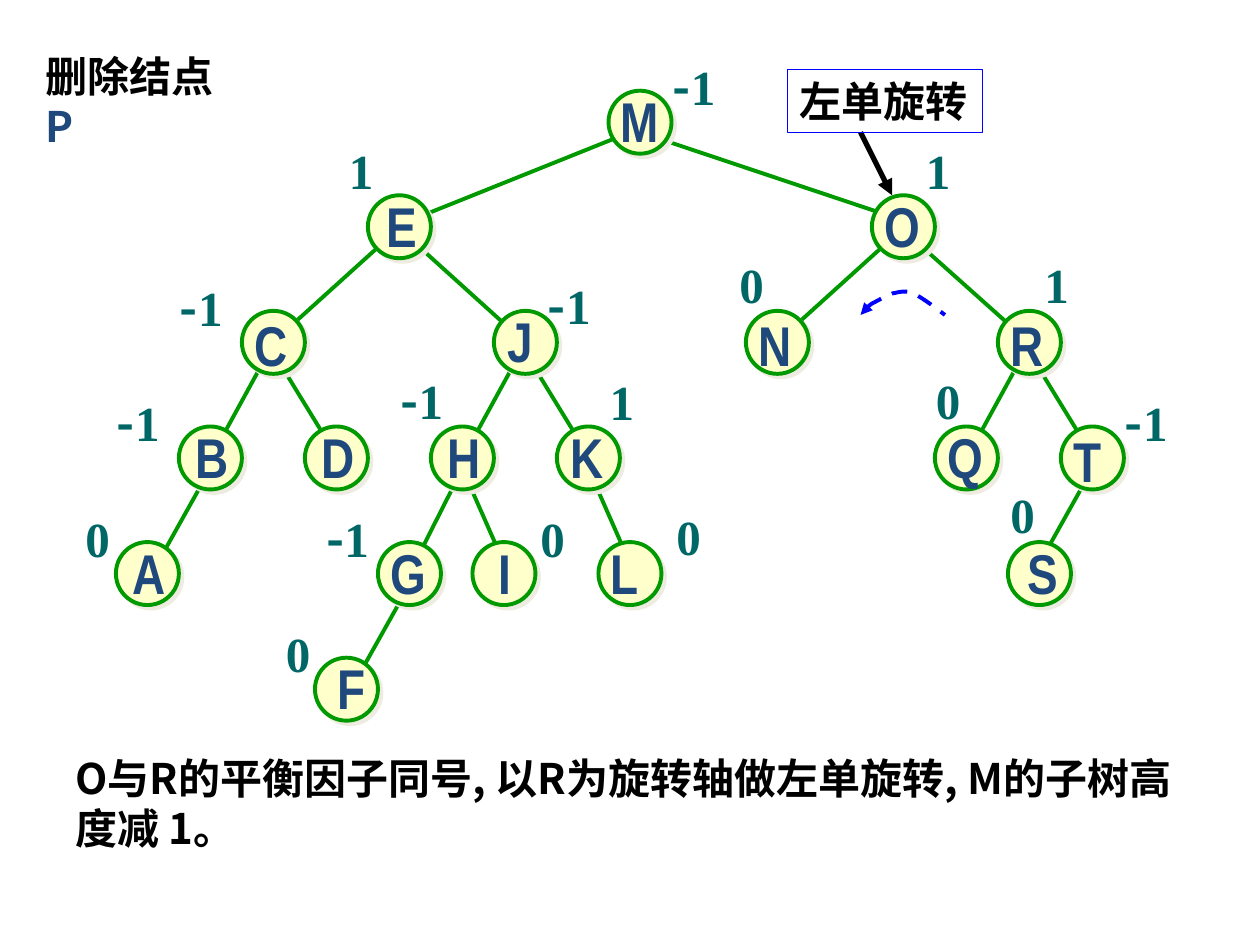
"""Build a slide showing a left single rotation after deleting a node from an AVL tree."""
import pptx
import pptx.dml.color
import pptx.enum.dml
import pptx.enum.shapes
import pptx.enum.text
import pptx.oxml
import pptx.oxml.ns
import pptx.util

GREEN = pptx.dml.color.RGBColor(0x00, 0x99, 0x00)
CREAM = pptx.dml.color.RGBColor(0xFF, 0xFF, 0xCC)
NAVY = pptx.dml.color.RGBColor(0x1F, 0x49, 0x7D)
TEAL = pptx.dml.color.RGBColor(0x00, 0x66, 0x66)
BLUE = pptx.dml.color.RGBColor(0x00, 0x00, 0xFF)
BLACK = pptx.dml.color.RGBColor(0x00, 0x00, 0x00)
HAN, NARROW, SERIF = "Noto Sans CJK SC", "Arial Narrow", "Times New Roman"
GRID_CM = 2.54
NODE_SIZE = 0.5

TITLE = [("删除结点", BLACK), ("P", NAVY)]
CALLOUT = "左单旋转"
EXPLANATION = "O与R的平衡因子同号, 以R为旋转轴做左单旋转, M的子树高度减 1。"

# letter, row, node left, label left, label width, label rise, factor, factor left, factor top
NODES = [
    ("M", 0, 4.83, 4.83, 0.51, 0.08, "-1", 5.24, 0.4),
    ("E", 1, 2.92, 2.97, 0.44, 0.08, "1", 2.67, 1.07),
    ("O", 1, 6.92, 6.92, 0.48, 0.08, "1", 7.25, 1.07),
    ("C", 2, 1.92, 1.92, 0.47, 0.05, "-1", 1.33, 2.15),
    ("J", 2, 3.92, 3.93, 0.4, 0.08, "-1", 4.25, 2.14),
    ("N", 2, 5.92, 5.92, 0.47, 0.05, "0", 5.77, 1.97),
    ("R", 2, 7.92, 7.92, 0.47, 0.05, "1", 8.19, 1.97),
    ("B", 3, 1.42, 1.45, 0.47, 0.08, "-1", 0.83, 3.07),
    ("D", 3, 2.42, 2.45, 0.47, 0.08, "", 0, 0),
    ("H", 3, 3.42, 3.45, 0.47, 0.08, "-1", 3.08, 2.89),
    ("K", 3, 4.42, 4.43, 0.47, 0.08, "1", 4.74, 2.9),
    ("Q", 3, 7.42, 7.42, 0.48, 0.08, "0", 7.33, 2.89),
    ("T", 3, 8.42, 8.42, 0.42, 0.05, "-1", 8.83, 3.07),
    ("A", 4, 0.92, 0.95, 0.47, 0.08, "0", 0.58, 3.99),
    ("G", 4, 3, 3, 0.48, 0.08, "-1", 2.49, 3.99),
    ("I", 4, 3.75, 3.86, 0.3, 0.08, "0", 4.19, 3.99),
    ("L", 4, 4.75, 4.75, 0.42, 0.08, "0", 5.27, 3.97),
    ("S", 4, 8, 8.06, 0.44, 0.08, "0", 7.92, 3.8),
    ("F", 5, 2.5, 2.58, 0.42, 0.08, "0", 2.17, 4.9),
]
EDGES = [
    (5, 1.05, 3.33, 1.72), (5.08, 1.05, 7.08, 1.72),
    (3.08, 1.89, 2.25, 2.64), (3.25, 1.89, 4.08, 2.64),
    (7.08, 1.89, 6.25, 2.64), (7.33, 1.97, 8.17, 2.72),
    (2.08, 2.89, 1.67, 3.64), (2.17, 2.8, 2.58, 3.47),
    (4.08, 2.89, 3.67, 3.64), (4.17, 2.8, 4.58, 3.47),
    (8.08, 2.89, 7.67, 3.64), (8.17, 2.8, 8.58, 3.47),
    (1.67, 3.72, 1.25, 4.47), (3.67, 3.72, 3.25, 4.55),
    (3.67, 3.72, 4, 4.47), (4.67, 3.72, 5, 4.47),
    (8.67, 3.72, 8.25, 4.47), (3.25, 4.64, 2.83, 5.39),
]
ROTATION_START = (6.83, 2.5)
ROTATION_CURVES = [
    ((6.85, 2.47), (6.88, 2.44), (6.92, 2.41)),
    ((6.96, 2.39), (7.03, 2.35), (7.08, 2.33)),
    ((7.14, 2.32), (7.18, 2.3), (7.25, 2.33)),
    ((7.32, 2.36), (7.46, 2.47), (7.5, 2.5)),
]


def cells(*values):
    return [pptx.util.Cm(value * GRID_CM) for value in values]


def add_effects(shape, content=""):
    namespace = pptx.oxml.ns.nsdecls("a")
    shape._element.spPr.append(
        pptx.oxml.parse_xml(f"<a:effectLst {namespace}>{content}</a:effectLst>"))


def add_arrowhead(shape, end):
    namespace = pptx.oxml.ns.nsdecls("a")
    shape.line._get_or_add_ln().append(
        pptx.oxml.parse_xml(f'<a:{end} {namespace} type="triangle"/>'))


def write(box, spans, size, wrap=False):
    frame = box.text_frame
    frame.word_wrap = wrap
    frame.auto_size = pptx.enum.text.MSO_AUTO_SIZE.SHAPE_TO_FIT_TEXT
    frame.vertical_anchor = pptx.enum.text.MSO_ANCHOR.TOP
    para = frame.paragraphs[0]
    para.alignment = pptx.enum.text.PP_ALIGN.LEFT
    for text, face, color in spans:
        span = para.add_run()
        span.text = text
        span.font.name, span.font.size, span.font.bold = face, pptx.util.Pt(size), True
        span.font.color.rgb = color
        east = span._r.get_or_add_rPr().makeelement(pptx.oxml.ns.qn("a:ea"), {"typeface": face})
        span._r.rPr.find(pptx.oxml.ns.qn("a:latin")).addnext(east)


def add_line(page, ends, color, width):
    line = page.shapes.add_connector(pptx.enum.shapes.MSO_CONNECTOR.STRAIGHT, *cells(*ends))
    line.line.color.rgb, line.line.width = color, pptx.util.Pt(width)
    add_effects(line)
    return line


def node_top(row):
    return 0.72 if row == 0 else 1.55 + 0.9175 * (row - 1)


def add_nodes(page):
    for _, row, left, *_ in NODES:
        node = page.shapes.add_shape(
            pptx.enum.shapes.MSO_SHAPE.OVAL, *cells(left, node_top(row), NODE_SIZE, NODE_SIZE))
        node.fill.solid()
        node.fill.fore_color.rgb = CREAM
        node.line.color.rgb, node.line.width = GREEN, pptx.util.Pt(2.25)
        add_effects(node, '<a:outerShdw dist="35560" dir="2700000" algn="ctr" rotWithShape="0">'
                          '<a:srgbClr val="EEECE1"/></a:outerShdw>')
    for letter, row, _, left, width, rise, factor, factor_left, factor_top in NODES:
        label = page.shapes.add_textbox(*cells(left, node_top(row) - rise, width, 0.63))
        write(label, [(letter, NARROW, NAVY)], 32)
        if factor:
            width = 0.59 if len(factor) > 1 else 0.4
            box = page.shapes.add_textbox(*cells(factor_left, factor_top, width, 0.57))
            write(box, [(sign, HAN if sign == "-" else SERIF, TEAL) for sign in factor], 28)


def curve_points(steps=8):
    start = ROTATION_START
    for first, second, end in ROTATION_CURVES:
        for step in range(1, steps + 1):
            t = step / steps
            yield cells(*((1 - t) ** 3 * a + 3 * (1 - t) ** 2 * t * b
                          + 3 * (1 - t) * t ** 2 * c + t ** 3 * d
                          for a, b, c, d in zip(start, first, second, end)))
        start = end


def add_rotation(page):
    builder = page.shapes.build_freeform(*cells(*ROTATION_START))
    builder.add_line_segments(curve_points(), close=False)
    arc = builder.convert_to_shape()
    arc.fill.background()
    arc.shadow.inherit = False
    arc.line.color.rgb, arc.line.width = BLUE, pptx.util.Pt(2.25)
    arc.line.dash_style = pptx.enum.dml.MSO_LINE.DASH
    add_arrowhead(arc, "headEnd")


def main():
    deck = pptx.Presentation()
    deck.slide_width, deck.slide_height = cells(10, 7.5)
    page = deck.slides.add_slide(deck.slide_layouts[5])
    for edge in EDGES:
        add_line(page, edge, GREEN, 2.25)
    add_nodes(page)
    add_arrowhead(add_line(page, (6.83, 1.05, 7.08, 1.55), BLACK, 3), "tailEnd")
    add_rotation(page)

    callout = page.shapes.add_shape(
        pptx.enum.shapes.MSO_SHAPE.RECTANGLE, *cells(6.25, 0.55, 1.55, 0.5))
    callout.shadow.inherit = False
    callout.fill.background()
    callout.line.color.rgb, callout.line.width = BLUE, pptx.util.Pt(0.75)
    write(callout, [(CALLOUT, HAN, BLACK)], 24)

    explanation = page.shapes.add_textbox(*cells(0.5, 5.92, 9.08, 0.91))
    write(explanation, [(EXPLANATION, HAN, BLACK)], 24, wrap=True)

    title = page.shapes.title
    title.left, title.top, title.width, title.height = cells(0.26, 0.35, 1.74, 0.5)
    title.text_frame.margin_right = cells(0.25)[0]
    write(title, [(text, HAN, color) for text, color in TITLE], 24, wrap=True)
    deck.save("out.pptx")


if __name__ == "__main__":
    main()
